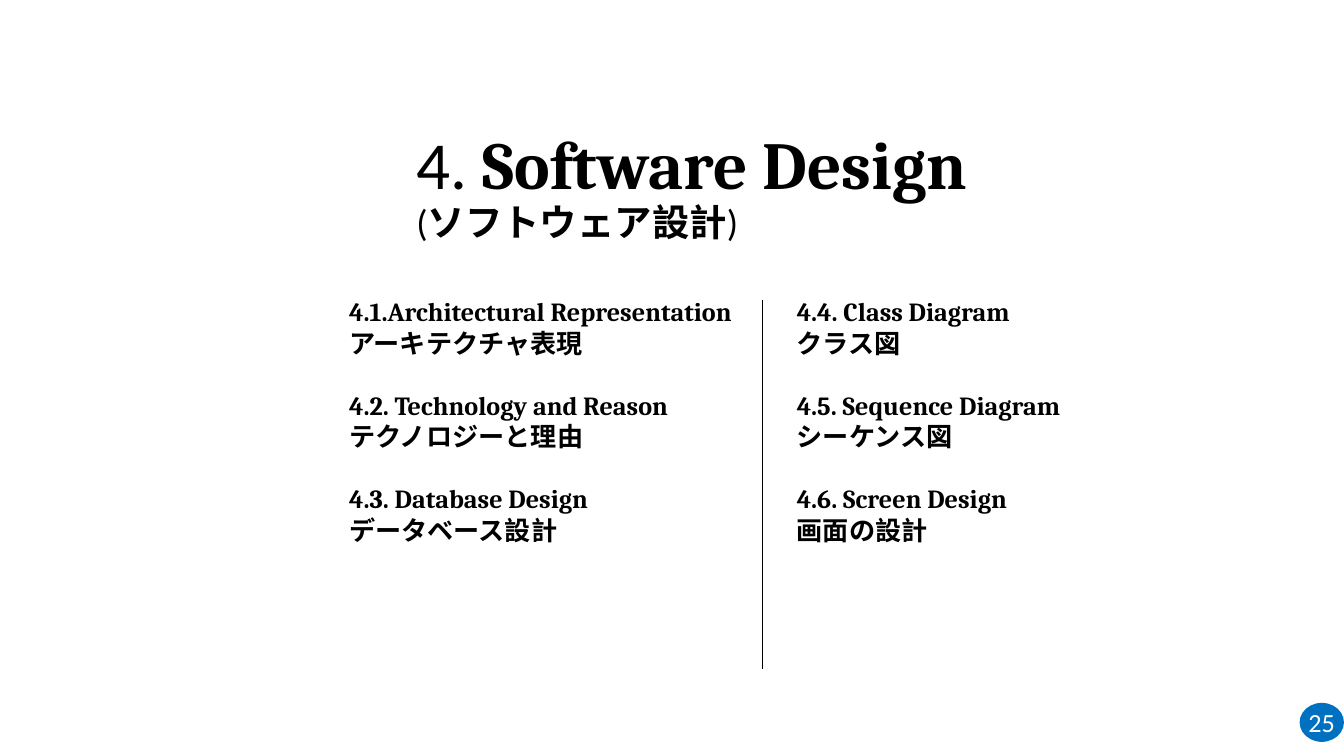
from pptx import Presentation
from pptx.dml.color import RGBColor
from pptx.enum.shapes import MSO_CONNECTOR as Connector, MSO_SHAPE as Shape
from pptx.enum.text import MSO_ANCHOR as Anchor, MSO_AUTO_SIZE as AutoSize, PP_ALIGN as Align
from pptx.oxml.ns import qn
from pptx.util import Inches, Pt
from lxml.etree import SubElement

TITLE_LINES = [
    [("4. ", "title_number"), ("Software Design ", "title")],
    [("(", "bracket"), ("ソフトウェア設計", "subtitle"), (")", "bracket")],
]
COLUMNS = [
    (2.5, 3.33, 2.69, [
        ("4.1.Architectural Representation", "アーキテクチャ表現"),
        ("4.2. Technology and Reason", "テクノロジーと理由"),
        ("4.3. Database Design", "データベース設計"),
    ]),
    (5.83, 3.12, 3.16, [
        ("4.4. Class Diagram", "クラス図"),
        ("4.5. Sequence Diagram", "シーケンス図"),
        ("4.6. Screen Design", "画面の設計"),
    ]),
]
PAGE_NUMBER = "25"
SLIDE_WIDTH = 10
SLIDE_HEIGHT = SLIDE_WIDTH * 9 / 16
COLUMN_TOP = 2.15
TOPIC_GAP = 16.5

THEME = {
    "ink": RGBColor(0, 0, 0),
    "white": RGBColor(255, 255, 255),
    "badge": RGBColor(0, 112, 192),
    "title_number": {"font": "Calibri", "size": 36},
    "title": {"font": "Cambria", "size": 36, "bold": True},
    "bracket": {"font": "Calibri", "size": 20},
    "subtitle": {"font": "Times New Roman", "size": 20, "bold": True},
    "topic": {"font": "Cambria", "size": 14, "bold": True},
    "translation": {"font": "Noto Sans CJK SC", "size": 14, "bold": True},
    "page": {"font": "Calibri", "size": 14},
}


def add_text(paragraph, text, font, size, bold=False, color=THEME["ink"]):
    run = paragraph.add_run()
    run.text = text
    run.font.name = font
    run.font.size = Pt(size)
    run.font.bold = bold
    run.font.color.rgb = color


def set_margins(frame, margin):
    frame.margin_left = frame.margin_right = Inches(margin)
    frame.margin_top = frame.margin_bottom = Inches(margin)


def add_title(slide):
    frame = slide.shapes.add_textbox(Inches(3), Inches(0.65), Inches(6.17), Inches(1.27)).text_frame
    frame.word_wrap = True
    frame.vertical_anchor = Anchor.BOTTOM
    set_margins(frame, 0.1)
    paragraph = frame.paragraphs[0]
    paragraph.line_spacing = 0.9
    for index, line in enumerate(TITLE_LINES):
        if index:
            paragraph.add_line_break()
        for text, style in line:
            add_text(paragraph, text, **THEME[style])


def add_column(slide, left, width, height, topics):
    box = slide.shapes.add_textbox(Inches(left), Inches(COLUMN_TOP), Inches(width), Inches(height))
    frame = box.text_frame
    frame.word_wrap = True
    frame.auto_size = AutoSize.SHAPE_TO_FIT_TEXT
    for index, (topic, translation) in enumerate(topics):
        paragraph = frame.add_paragraph() if index else frame.paragraphs[0]
        if index:
            paragraph.space_before = Pt(TOPIC_GAP)
        add_text(paragraph, topic, **THEME["topic"])
        add_text(frame.add_paragraph(), translation, **THEME["translation"])


def add_divider(slide):
    divider = slide.shapes.add_connector(
        Connector.STRAIGHT, Inches(5.67), Inches(2.23), Inches(5.67), Inches(4.98))
    divider.line.color.rgb = THEME["ink"]
    divider.line.width = Pt(0.5)
    SubElement(divider.element.spPr, qn("a:effectLst"))


def add_page_badge(slide):
    badge = slide.shapes.add_shape(Shape.OVAL, Inches(9.67), Inches(5.23), Inches(0.33), Inches(0.29))
    badge.shadow.inherit = False
    badge.fill.solid()
    badge.fill.fore_color.rgb = THEME["badge"]
    badge.line.fill.background()
    frame = badge.text_frame
    frame.word_wrap = False
    frame.vertical_anchor = Anchor.MIDDLE
    set_margins(frame, 0)
    paragraph = frame.paragraphs[0]
    paragraph.alignment = Align.CENTER
    add_text(paragraph, PAGE_NUMBER, color=THEME["white"], **THEME["page"])


def main():
    presentation = Presentation()
    presentation.slide_width = Inches(SLIDE_WIDTH)
    presentation.slide_height = Inches(SLIDE_HEIGHT)
    slide = presentation.slides.add_slide(presentation.slide_layouts[6])
    add_title(slide)
    add_divider(slide)
    for column in COLUMNS:
        add_column(slide, *column)
    add_page_badge(slide)
    presentation.save("out.pptx")


if __name__ == "__main__":
    main()
